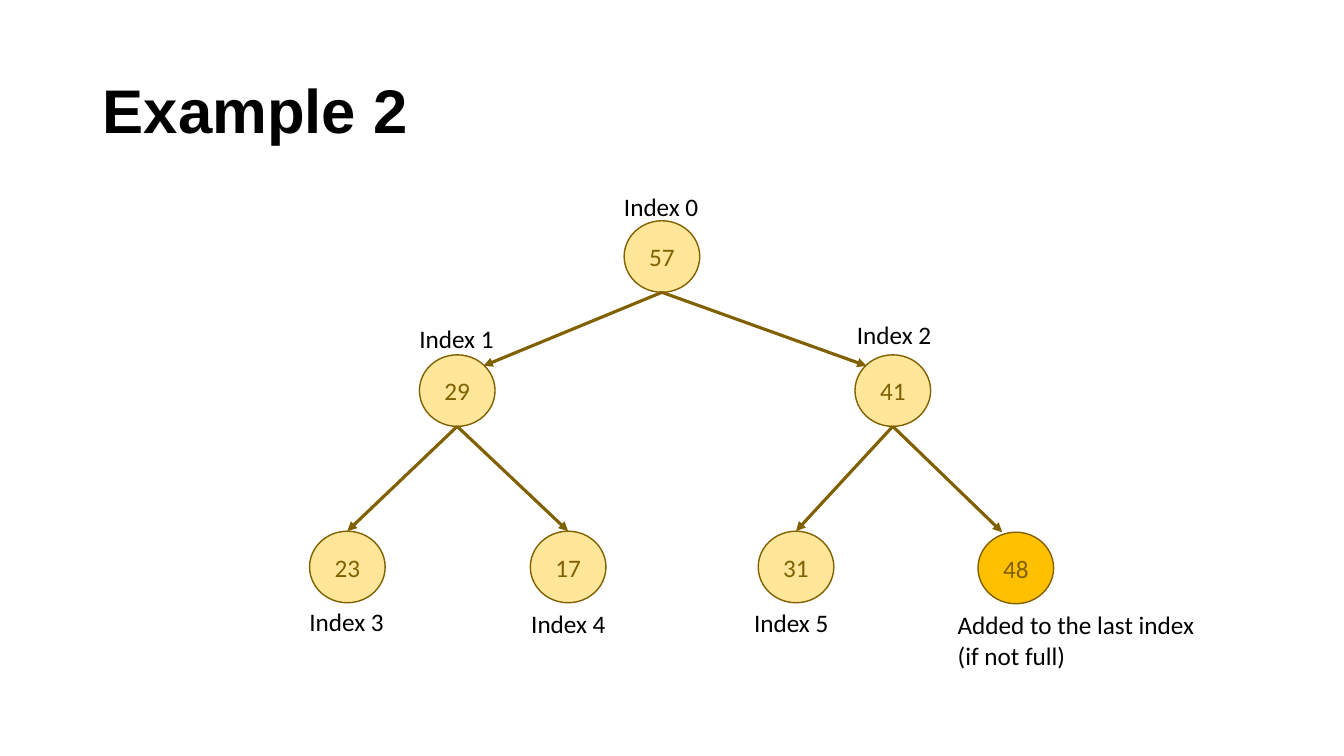
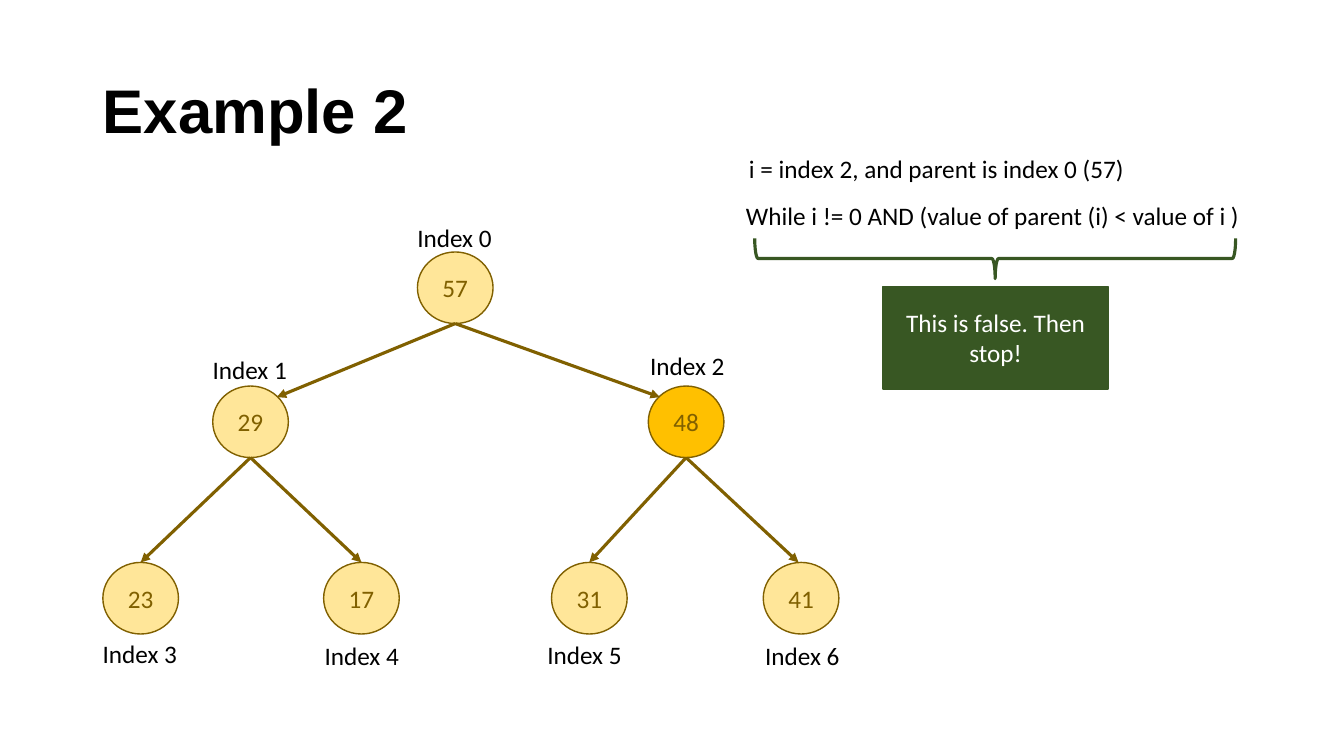
from lxml import etree
from pptx import Presentation
from pptx.dml.color import RGBColor
from pptx.enum import shapes, text
from pptx.oxml import ns
from pptx.util import Inches, Pt

BLACK = RGBColor(0x00, 0x00, 0x00)
WHITE = RGBColor(0xFF, 0xFF, 0xFF)
BROWN = RGBColor(0x80, 0x60, 0x00)
CREAM = RGBColor(0xFF, 0xE6, 0x99)
AMBER = RGBColor(0xFF, 0xC0, 0x00)
GREEN = RGBColor(0x38, 0x57, 0x23)

TITLE_FONT = {"name": "Arial", "size": Pt(44), "bold": True}
BODY_FONT = {"name": "Calibri", "size": Pt(18)}
NODE_W, NODE_H = 0.75, 0.71
LABEL_W, LABEL_H = 0.95, 0.4

# Heap order: the children of node n are 2n + 1 and 2n + 2.
NODES = [(6.19, 2.19), (4.16, 3.52), (8.48, 3.52),
         (3.07, 5.27), (5.26, 5.27), (7.52, 5.27)]
LABELS = [(6.09, 1.85), (4.06, 3.16), (8.4, 3.12),
          (2.97, 5.97), (5.17, 5.99), (7.38, 5.98)]

PAGES = [
    {"shift": (0, 0), "values": [57, 29, 41, 23, 17, 31, 48], "marked": 6,
     "last_node": (9.7, 5.28), "last_tip": 9.94,
     "notes": [("Added to the last index\n(if not full)", 9.4, 6, 2.63, 0.71)]},
    {"shift": (-2.05, 0.31), "values": [57, 29, 48, 23, 17, 31, 41], "marked": 2,
     "last_node": (9.62, 5.27), "last_tip": 9.97,
     "notes": [("Index 6", 7.49, 6.3, LABEL_W, LABEL_H),
               ("i = index 2, and parent is index 0 (57)", 7.33, 1.47, 3.97, 0.4),
               ("While i != 0 AND (value of parent (i) < value of i )",
                7.3, 1.94, 5.31, 0.4)]},
]


def write(frame, words, font, color):
    """Put words in a text frame, one paragraph a line, and format them."""
    frame.text = words
    for para in frame.paragraphs:
        for span in para.runs:
            span.font.color.rgb = color
            for name, value in font.items():
                setattr(span.font, name, value)


def add_shape(page, kind, place, fill, line, weight=1, words=""):
    """Add a preset shape with centred text; no fill colour leaves it open."""
    shape = page.shapes.add_shape(kind, *map(Inches, place))
    shape.shadow.inherit = False
    if fill is None:
        shape.fill.background()
    else:
        shape.fill.solid()
        shape.fill.fore_color.rgb = fill
    shape.line.color.rgb = line
    shape.line.width = Pt(weight)
    if words:
        write(shape.text_frame, words, BODY_FONT, WHITE if fill == GREEN else BROWN)
        shape.text_frame.vertical_anchor = text.MSO_ANCHOR.MIDDLE
        shape.text_frame.paragraphs[0].alignment = text.PP_ALIGN.CENTER
    return shape


deck = Presentation()
deck.slide_width, deck.slide_height = Inches(13.33), Inches(7.5)

for tree in PAGES:
    page = deck.slides.add_slide(deck.slide_layouts[5])
    title = page.shapes.title
    title.left, title.top, title.width, title.height = map(Inches, (0.92, 0.4, 11.5, 1.45))
    write(title.text_frame, "Example 2", TITLE_FONT, BLACK)
    title.text_frame.auto_size = text.MSO_AUTO_SIZE.NONE
    title.text_frame.vertical_anchor = text.MSO_ANCHOR.MIDDLE
    title.text_frame.paragraphs[0].alignment = text.PP_ALIGN.LEFT
    title.text_frame.paragraphs[0].line_spacing = 0.9

    dx, dy = tree["shift"]
    nodes = [(x + dx, y + dy) for x, y in NODES + [tree["last_node"]]]
    for index, (left, top) in enumerate(nodes):
        fill = AMBER if index == tree["marked"] else CREAM
        add_shape(page, shapes.MSO_SHAPE.OVAL, (left, top, NODE_W, NODE_H),
                  fill, BROWN, words=str(tree["values"][index]))

    for child in range(1, len(nodes)):
        parent = (child - 1) // 2
        start_x = nodes[parent][0] + NODE_W / 2
        start_y = nodes[parent][1] + NODE_H
        tip_x, tip_y = nodes[child][0] + NODE_W / 2, nodes[child][1]
        if parent == 0:
            tip_x += 0.26 if child == 1 else -0.26
            tip_y += 0.11
        elif child == 6:
            tip_x = tree["last_tip"] + dx
        arrow = page.shapes.add_connector(
            shapes.MSO_CONNECTOR.STRAIGHT, *map(Inches, (start_x, start_y, tip_x, tip_y)))
        arrow.line.color.rgb = BROWN
        arrow.line.width = Pt(2.25)
        etree.SubElement(arrow.line._get_or_add_ln(), ns.qn("a:tailEnd"), type="triangle")
        etree.SubElement(arrow._element.spPr, ns.qn("a:effectLst"))

    labels = [(f"Index {index}", x + dx, y + dy, LABEL_W, LABEL_H)
              for index, (x, y) in enumerate(LABELS)]
    for words, *place in labels + tree["notes"]:
        box = page.shapes.add_textbox(*map(Inches, place))
        write(box.text_frame, words, BODY_FONT, BLACK)
        # Long notes keep the left edge and the width of their box.
        box.text_frame.word_wrap = place[2] > LABEL_W
        box.text_frame.auto_size = text.MSO_AUTO_SIZE.SHAPE_TO_FIT_TEXT

# The last page also shows why the loop ends.
add_shape(page, shapes.MSO_SHAPE.RECTANGLE, (8.76, 2.84, 2.23, 1.02), GREEN, GREEN,
          words="This is false. Then stop!")
brace = add_shape(page, shapes.MSO_SHAPE.RIGHT_BRACE, (9.67, 0.18, 0.4, 4.77),
                  None, GREEN, weight=2.25)
brace.rotation = 90

deck.save("out.pptx")
